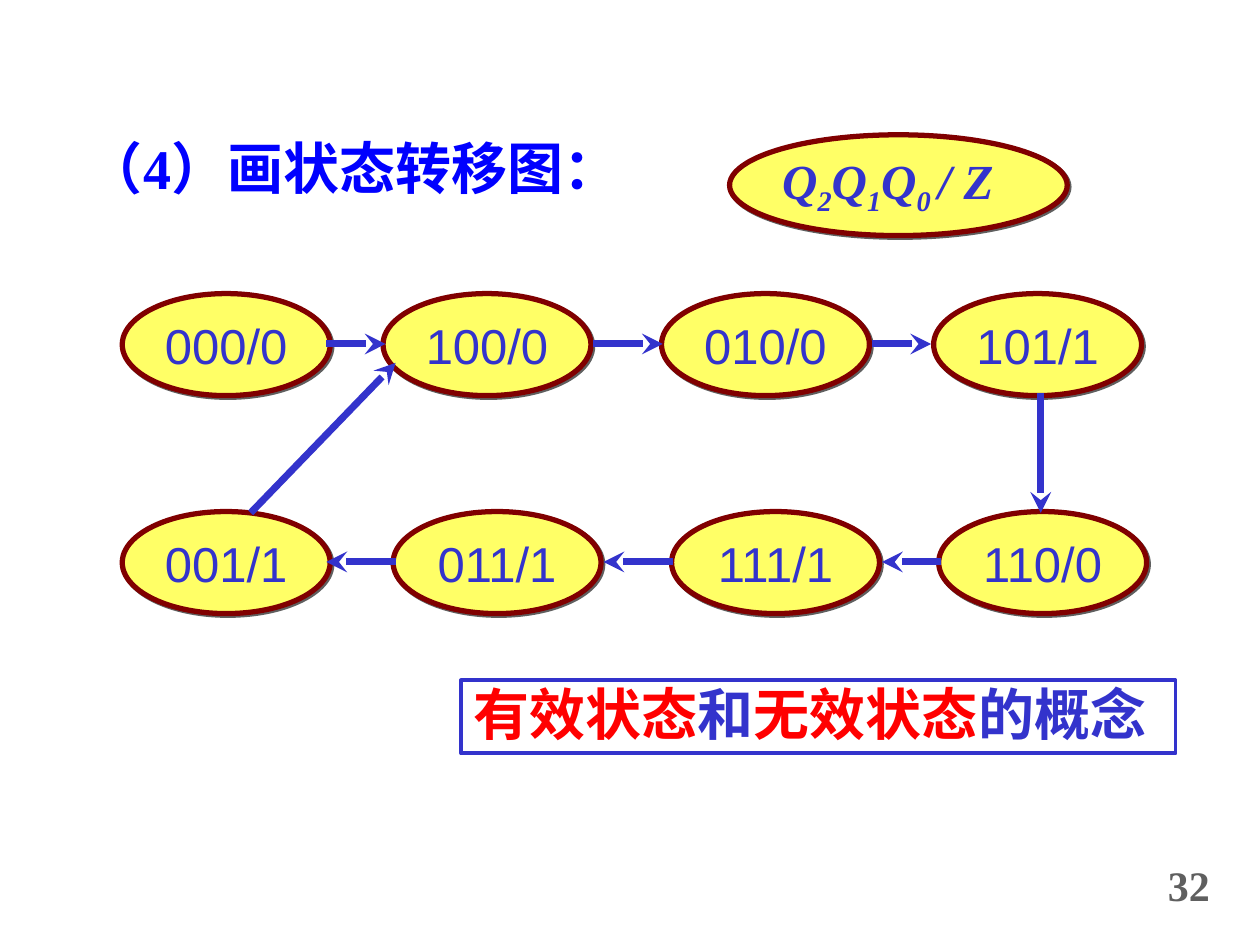
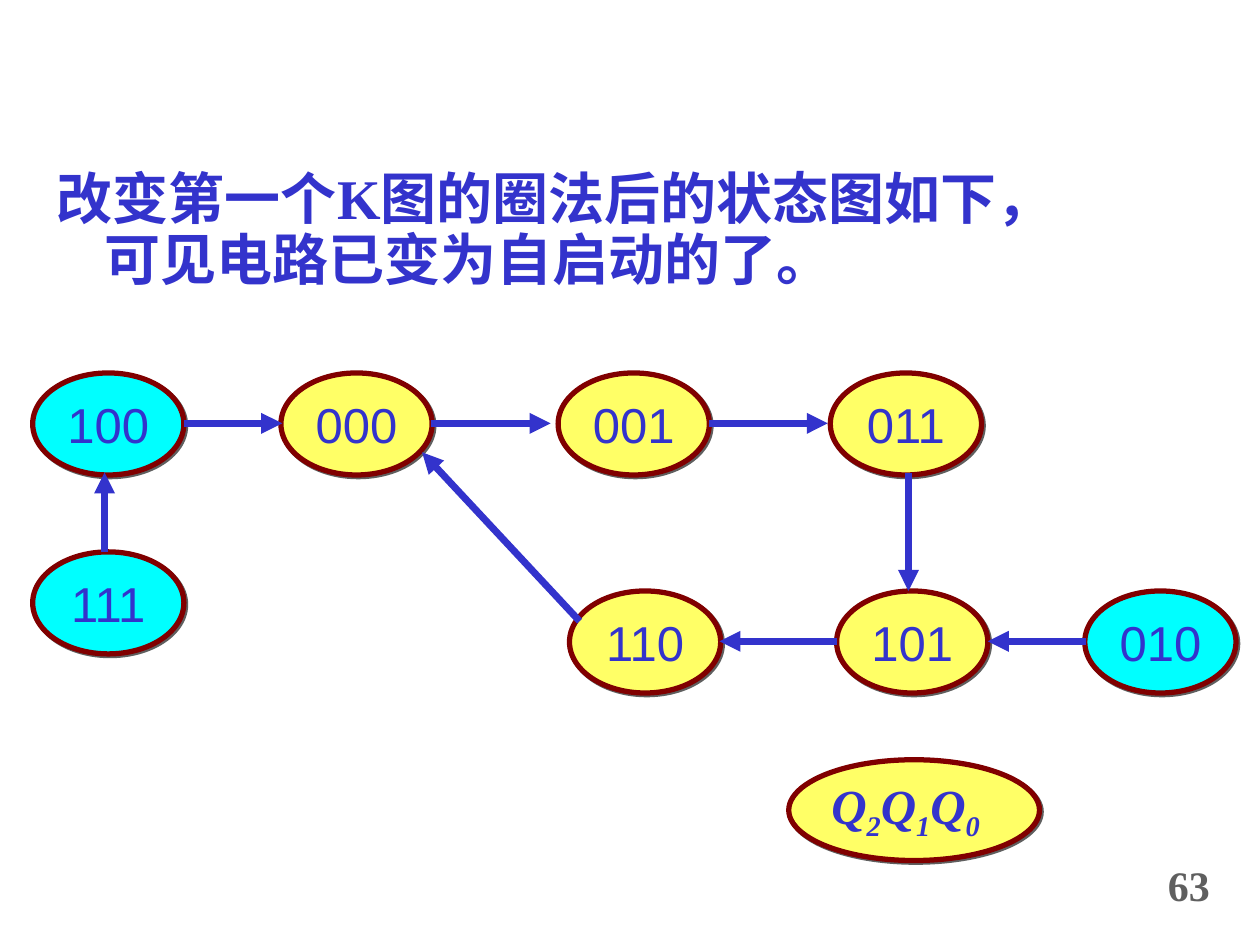
import pptx
import pptx.dml.color
import pptx.enum.shapes
import pptx.enum.text
import pptx.oxml.ns
import pptx.util
from lxml import etree
from pptx.util import Inches

COLORS = {
    "ink": "3333CC", "heading": "0000FF", "accent": "FF0000", "number": "5F5F5F",
    "valid": "FFFF66", "invalid": "00FFFF", "rim": "800000", "shadow": "5F5F5F",
}
SERIF, SANS = "Times New Roman", "Arial"
NODE_HEIGHT = 0.81
HANGING = 0.38
SUBSCRIPT = -25000
Q_BITS = [("Q", 0), ("2", SUBSCRIPT), ("Q", 0), ("1", SUBSCRIPT), ("Q", 0)]

# Content: a row is (top, [(state, left, kind), ...]), an arrow is (from, to)
SLIDES = [
    {
        "title": ("（4）画状态转移图：", "heading", (0.59, 1.07, 4.53, 0.58)),
        "number": "32",
        "node_width": 1.65,
        "rows": [
            (2.33, [("000/0", 0.97, "valid"), ("100/0", 3.04, "valid"),
                    ("010/0", 5.25, "valid"), ("101/1", 7.41, "valid")]),
            (4.06, [("001/1", 0.97, "valid"), ("011/1", 3.12, "valid"),
                    ("111/1", 5.33, "valid"), ("110/0", 7.45, "valid")]),
        ],
        "arrow_head": "stealth",
        "arrows": [
            ((2.59, 2.73), (3.06, 2.73)), ((4.71, 2.73), (5.26, 2.73)),
            ((6.92, 2.73), (7.39, 2.73)), ((8.26, 3.12), (8.26, 4.07)),
            ((7.47, 4.46), (7, 4.46)), ((5.34, 4.46), (4.79, 4.46)),
            ((3.14, 4.46), (2.59, 4.46)), ((1.99, 4.07), (3.14, 2.88)),
        ],
        "legend": (Q_BITS + [("0 ", SUBSCRIPT), ("/ Z", 0)],
                   (5.79, 1.07, 2.68, 0.8), (6.11, 1.15, 2.06, 0.58)),
        "concept": ([("有效状态", "accent"), ("和", "ink"),
                     ("无效状态", "accent"), ("的概念", "ink")],
                    (3.66, 5.4, 5.67, 0.58)),
    },
    {
        "title": ("改变第一个K图的圈法后的状态图如下，可见电路已变为自启动的了。",
                  "ink", (0.35, 1.31, 8.27, 1.06)),
        "number": "63",
        "node_width": 1.2,
        "rows": [
            (2.96, [("100", 0.26, "invalid"), ("000", 2.23, "valid"),
                    ("001", 4.43, "valid"), ("011", 6.59, "valid")]),
            (4.38, [("111", 0.26, "invalid")]),
            (4.69, [("110", 4.52, "valid"), ("101", 6.64, "valid"),
                    ("010", 8.61, "invalid")]),
        ],
        "arrow_head": "triangle",
        "arrows": [
            ((3.42, 3.36), (4.37, 3.36)), ((5.63, 3.36), (6.57, 3.36)),
            ((7.21, 3.75), (7.21, 4.69)), ((6.64, 5.09), (5.71, 5.09)),
            ((8.62, 5.09), (7.84, 5.09)), ((4.6, 4.93), (3.35, 3.59)),
            ((1.46, 3.36), (2.24, 3.36)), ((0.83, 4.38), (0.83, 3.75)),
        ],
        "legend": (Q_BITS + [("0", SUBSCRIPT)],
                   (6.26, 6.03, 1.99, 0.8), (6.5, 6.11, 1.53, 0.58)),
    },
]


def rgb(name):
    return pptx.dml.color.RGBColor.from_string(COLORS[name])


def add_xml(parent, tag, **attributes):
    return etree.SubElement(parent, pptx.oxml.ns.qn(tag), attributes)


def place(box, at):
    box.left, box.top, box.width, box.height = map(Inches, at)


def set_font(font, name, size, color, bold=False):
    font.name, font.size, font.bold = name, pptx.util.Pt(size), bold
    font.color.rgb = rgb(color)


def hanging_text(box, spans, size, color):
    """Write bold serif spans into one left-aligned paragraph with a hanging indent."""
    frame = box.text_frame
    frame.word_wrap = True
    frame.auto_size = pptx.enum.text.MSO_AUTO_SIZE.NONE
    frame.vertical_anchor = pptx.enum.text.MSO_ANCHOR.TOP
    para = frame.paragraphs[0]
    para.alignment = pptx.enum.text.PP_ALIGN.LEFT
    para.line_spacing = 0.9
    para.space_before = pptx.util.Pt(0)
    properties = para._p.get_or_add_pPr()
    properties.set("marL", str(Inches(HANGING)))
    properties.set("indent", str(-Inches(HANGING)))
    set_font(para.font, SERIF, size, color, bold=True)
    runs = []
    for text in spans:
        span = para.add_run()
        span.text = text
        runs.append(span)
    return para, runs


def add_text(page, at, spans, size, color):
    box = page.shapes.add_textbox(*map(Inches, at))
    return hanging_text(box, spans, size, color)


def add_ellipse(page, at, fill):
    ellipse = page.shapes.add_shape(pptx.enum.shapes.MSO_SHAPE.OVAL, *map(Inches, at))
    ellipse.fill.solid()
    ellipse.fill.fore_color.rgb = rgb(fill)
    ellipse.line.color.rgb = rgb("rim")
    ellipse.line.width = pptx.util.Pt(3)
    # Hard shadow to the lower right
    ellipse.shadow.inherit = False
    effects = ellipse._element.spPr.find(pptx.oxml.ns.qn("a:effectLst"))
    shadow = add_xml(effects, "a:outerShdw", dist=str(pptx.util.Pt(1.4)),
                     dir="2700000", algn="ctr", rotWithShape="0")
    add_xml(shadow, "a:srgbClr", val=COLORS["shadow"])
    return ellipse


def add_node(page, at, state, kind):
    frame = add_ellipse(page, at, kind).text_frame
    frame.word_wrap = False
    frame.vertical_anchor = pptx.enum.text.MSO_ANCHOR.MIDDLE
    para = frame.paragraphs[0]
    para.text = state
    para.alignment = pptx.enum.text.PP_ALIGN.CENTER
    set_font(para.font, SANS, 28, "ink")


def add_arrow(page, start, end, head):
    arrow = page.shapes.add_connector(pptx.enum.shapes.MSO_CONNECTOR.STRAIGHT,
                                      *map(Inches, start + end))
    arrow.line.color.rgb = rgb("ink")
    arrow.line.width = pptx.util.Pt(4)
    add_xml(arrow.line._get_or_add_ln(), "a:tailEnd", type=head)
    add_xml(arrow._element.spPr, "a:effectLst")


def add_legend(page, spans, ellipse_at, text_at):
    add_ellipse(page, ellipse_at, "valid")
    para, runs = add_text(page, text_at, [text for text, _ in spans], 28, "ink")
    para.font.italic = True
    for span, (_, baseline) in zip(runs, spans):
        if baseline:
            span._r.get_or_add_rPr().set("baseline", str(baseline))


def add_concept(page, spans, at):
    frame_box = page.shapes.add_textbox(*map(Inches, at))
    frame_box.line.color.rgb = rgb("ink")
    frame_box.line.width = pptx.util.Pt(2.25)
    _, runs = hanging_text(frame_box, [text for text, _ in spans], 32, "ink")
    for span, (_, color) in zip(runs, spans):
        span.font.color.rgb = rgb(color)


def build_slide(deck, content):
    page = deck.slides.add_slide(deck.slide_layouts.get_by_name("Title Only"))

    # Title and page number
    text, color, at = content["title"]
    place(page.shapes.title, at)
    hanging_text(page.shapes.title, [text], 32, color)
    add_text(page, (9.17, 6.82, 0.63, 0.46), [content["number"]], 24, "number")

    # State diagram
    for top, nodes in content["rows"]:
        for state, left, kind in nodes:
            add_node(page, (left, top, content["node_width"], NODE_HEIGHT), state, kind)
    for start, end in content["arrows"]:
        add_arrow(page, start, end, content["arrow_head"])

    # Legend and closing remark
    add_legend(page, *content["legend"])
    if "concept" in content:
        add_concept(page, *content["concept"])


def main():
    deck = pptx.Presentation()
    deck.slide_width, deck.slide_height = Inches(10), Inches(7.5)
    for content in SLIDES:
        build_slide(deck, content)
    deck.save("out.pptx")


if __name__ == "__main__":
    main()
